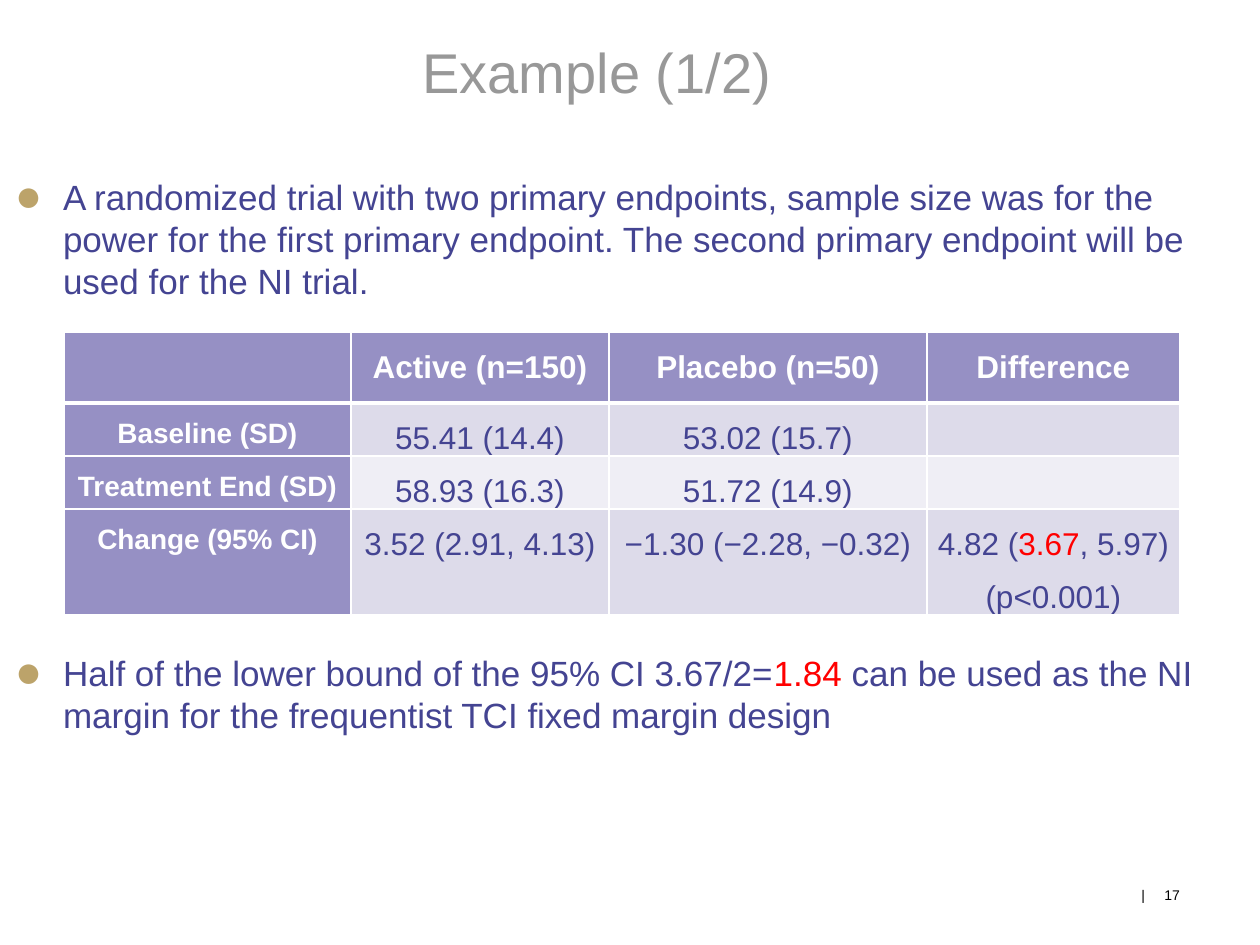
"""Build the example slide with a trial results table and the margin rule."""
from lxml import etree
from pptx import Presentation
from pptx.dml.color import RGBColor
from pptx.enum.text import MSO_ANCHOR, MSO_AUTO_SIZE, PP_ALIGN
from pptx.oxml.ns import qn
from pptx.util import Pt

CENTER, LEFT = PP_ALIGN.CENTER, PP_ALIGN.LEFT
TOP = MSO_ANCHOR.TOP
NO_FIT = MSO_AUTO_SIZE.NONE
SCALE = 914400 / 126
FONT = "Arial"
COLORS = {
    "title": "989898",
    "text": "444492",
    "accent": "FF0000",
    "bullet": "BCA36A",
    "header": "9690C4",
    "band_dark": "DDDBEA",
    "band_light": "EFEEF5",
    "white": "FFFFFF",
    "black": "000000",
}
COLUMNS = [287, 258, 318, 253]
ROWS = [71, 53, 53, 105]
RESULTS = [
    ["", "Active (n=150)", "Placebo (n=50)", "Difference"],
    ["Baseline (SD)", "55.41 (14.4)", "53.02 (15.7)", ""],
    ["Treatment End (SD)", "58.93 (16.3)", "51.72 (14.9)", ""],
    ["Change (95% CI)", "3.52 (2.91, 4.13)", "−1.30 (−2.28, −0.32)",
     [[("4.82 (", "text"), ("3.67", "accent"), (", 5.97)", "text")],
      [("(p<0.001)", "text")]]],
]
BULLETS = [
    (0, [("A randomized trial with two primary endpoints, sample size was for "
          "the power for the first primary endpoint. The second primary endpoint "
          "will be used for the NI trial.", "text")]),
    (200, [("Half of the lower bound of the 95% CI 3.67/2=", "text"),
           ("1.84", "accent"),
           (" can be used as the NI margin for the frequentist TCI fixed margin "
            "design", "text")]),
]


def px(length):
    return round(length * SCALE)


def color(name):
    return RGBColor.from_string(COLORS[name])


def add_element(parent, tag, **attributes):
    element = etree.SubElement(parent, qn(tag))
    for name, value in attributes.items():
        element.set(name, str(value))
    return element


class SlideBuilder:
    def __init__(self, page):
        self.page = page

    def place(self, box, left, top, width, height):
        box.left, box.top = px(left), px(top)
        box.width, box.height = px(width), px(height)
        return self.prepare(box.text_frame)

    def prepare(self, frame):
        frame.margin_left = frame.margin_right = 0
        frame.margin_top = frame.margin_bottom = 0
        frame.word_wrap = True
        frame.auto_size = NO_FIT
        frame.vertical_anchor = TOP
        return frame

    def add_spans(self, para, spans, size, bold=False):
        for text, shade in spans:
            span = para.add_run()
            span.text = text
            span.font.name = FONT
            span.font.size = Pt(size)
            span.font.bold = bold
            span.font.color.rgb = color(shade)

    def title(self, text, *area):
        para = self.place(self.page.shapes.title, *area).paragraphs[0]
        para.alignment = CENTER
        para.line_spacing = 0.9
        self.add_spans(para, [(text, "title")], 32)

    def bullets(self, items, *area):
        frame = self.place(self.page.placeholders[1], *area)
        for index, (gap, spans) in enumerate(items):
            para = frame.add_paragraph() if index else frame.paragraphs[0]
            properties = para._p.get_or_add_pPr()
            properties.set("marL", str(px(48)))
            properties.set("indent", str(-px(48)))
            shade = add_element(properties, "a:buClr")
            add_element(shade, "a:srgbClr", val=COLORS["bullet"])
            add_element(properties, "a:buSzPct", val=130000)
            add_element(properties, "a:buFont", typeface=FONT)
            add_element(properties, "a:buChar", char="●")
            para.space_before = Pt(gap)
            self.add_spans(para, spans, 20)

    def page_number(self, text, stops, *area):
        box = self.page.shapes.add_textbox(0, 0, 0, 0)
        para = self.place(box, *area).paragraphs[0]
        tabs = add_element(para._p.get_or_add_pPr(), "a:tabLst")
        for stop in stops:
            add_element(tabs, "a:tab", pos=px(stop), algn="r")
        para.alignment = LEFT
        self.add_spans(para, [(text, "black")], 8)

    def border(self, cell, sides):
        properties = cell._tc.get_or_add_tcPr()
        for side, weight in sides.items():
            line = add_element(properties, f"a:ln{side}", w=int(Pt(weight)))
            fill = add_element(line, "a:solidFill")
            add_element(fill, "a:srgbClr", val=COLORS["white"])

    def cell(self, cell, content, row, column):
        heading = row == 0 or column == 0
        self.border(cell, {"L": 1, "R": 1, "T": 3 if row == 1 else 1,
                           "B": 3 if row == 0 else 1})
        band = "band_dark" if row % 2 else "band_light"
        cell.fill.solid()
        cell.fill.fore_color.rgb = color("header" if heading else band)
        cell.margin_left = cell.margin_right = px(9)
        cell.margin_top = cell.margin_bottom = 0
        cell.vertical_anchor = TOP
        if not content:
            return
        if isinstance(content, str):
            content = [[(content, "white" if heading else "text")]]
        for index, spans in enumerate(content):
            frame = cell.text_frame
            para = frame.add_paragraph() if index else frame.paragraphs[0]
            para.alignment = CENTER
            para.line_spacing = 1.5
            self.add_spans(para, spans, 18 if row == 0 or column else 16, heading)

    def table(self, rows, left, top):
        frame = self.page.shapes.add_table(
            len(ROWS), len(COLUMNS), px(left), px(top),
            px(sum(COLUMNS)), px(sum(ROWS)))
        table = frame.table
        table.horz_banding = False
        for column, width in zip(table.columns, COLUMNS):
            column.width = px(width)
        for row, height in zip(table.rows, ROWS):
            row.height = px(height)
        for row, contents in enumerate(rows):
            for column, content in enumerate(contents):
                self.cell(table.cell(row, column), content, row, column)


def main():
    deck = Presentation()
    deck.slide_width, deck.slide_height = px(1260), px(945)
    builder = SlideBuilder(deck.slides.add_slide(deck.slide_layouts[1]))
    builder.title("Example (1/2)", 25, 45, 1144, 90)
    builder.bullets(BULLETS, 15, 175, 1240, 684)
    builder.page_number("\t|\t17", [31, 66], 1114, 887, 68, 33)
    builder.table(RESULTS, 64, 332)
    deck.save("out.pptx")


if __name__ == "__main__":
    main()
